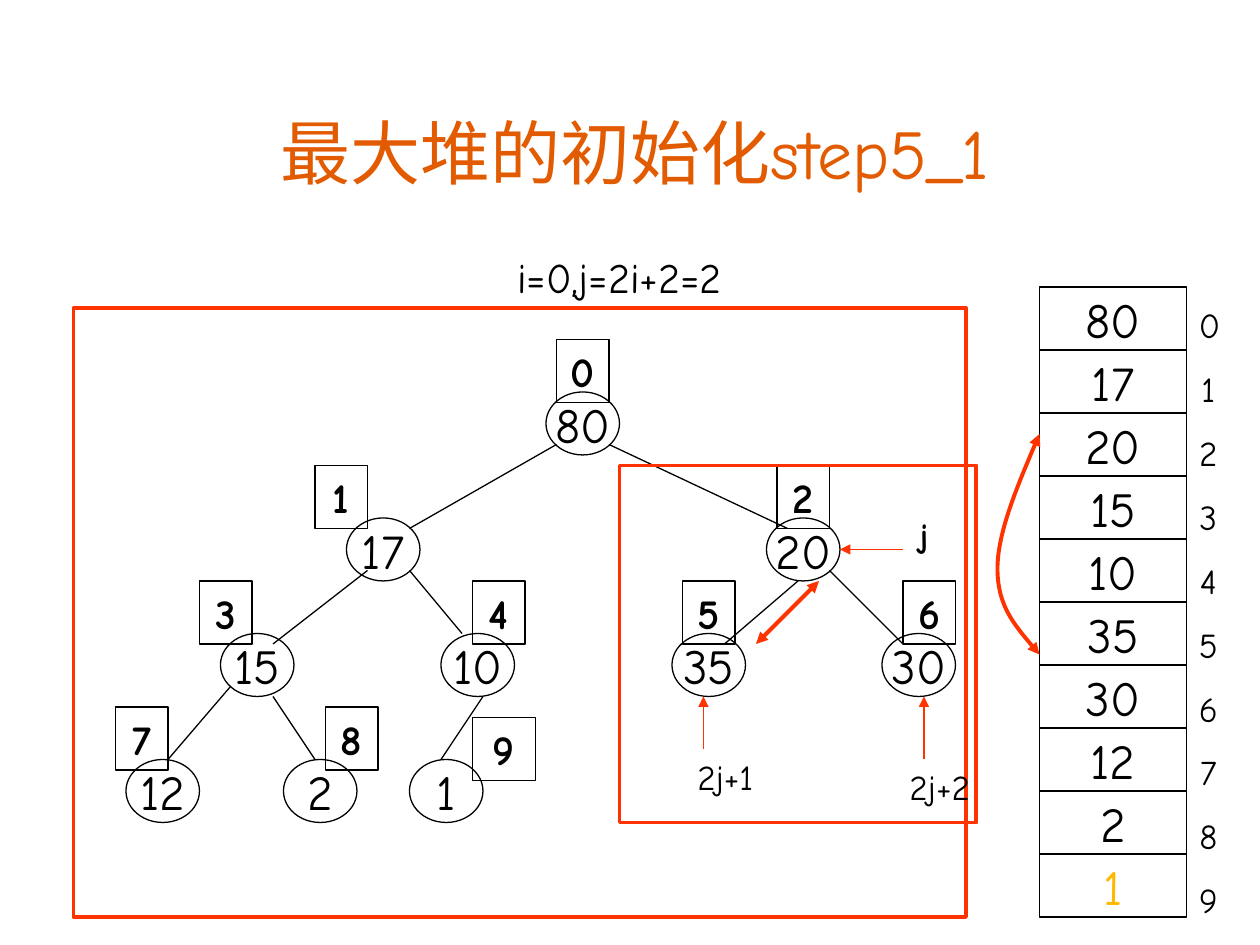
from dataclasses import dataclass

from lxml.etree import SubElement
from pptx import Presentation
from pptx.dml.color import RGBColor
from pptx.enum.shapes import MSO_CONNECTOR, MSO_SHAPE as SHAPE
from pptx.enum.text import MSO_ANCHOR as ANCHOR, MSO_AUTO_SIZE, PP_ALIGN
from pptx.oxml.ns import qn
from pptx.util import Pt


@dataclass(frozen=True)
class Theme:
    font: str = "Comic Neue"
    ink: str = "000000"
    title: str = "E25B00"
    accent: str = "FF3300"
    done: str = "FFB800"
    title_size: int = 40
    node_size: int = 28
    badge_size: int = 24
    label_size: int = 20
    thin: float = 0.75
    thick: float = 2.25


class HeapSlide:
    def __init__(self, prs, theme):
        self.theme = theme
        self.s = prs.slides.add_slide(prs.slide_layouts[5])

    def set_text(self, sp, lines, size, color=None, bold=False, gap=0,
                 anchor=ANCHOR.TOP, wrap=True):
        tf = sp.text_frame
        tf.word_wrap, tf.vertical_anchor = wrap, anchor
        tf.auto_size = MSO_AUTO_SIZE.NONE
        for i, line in enumerate(lines):
            p = tf.add_paragraph() if i else tf.paragraphs[0]
            p.alignment = PP_ALIGN.CENTER
            p.space_before = Pt(gap if i else 0)
            r = p.add_run()
            r.text = line
            r.font.name, r.font.size, r.font.bold = self.theme.font, Pt(size), bold
            r.font.color.rgb = RGBColor.from_string(color or self.theme.ink)

    def stroke(self, sp, color=None, width=None, heads=()):
        """Style a line; heads holds "headEnd" and/or "tailEnd", in that order."""
        sp.line.color.rgb = RGBColor.from_string(color or self.theme.ink)
        sp.line.width = Pt(width or self.theme.thin)
        ln = sp._element.spPr.find(qn("a:ln"))
        for head in heads:
            SubElement(ln, qn(f"a:{head}"), type="triangle")

    def title(self, text, box):
        sp = self.s.shapes.title
        sp.left, sp.top, sp.width, sp.height = map(Pt, box)
        self.set_text(sp, [text], self.theme.title_size, self.theme.title,
                      anchor=ANCHOR.BOTTOM)

    def label(self, lines, box, size=None, **style):
        sp = self.s.shapes.add_textbox(*map(Pt, box))
        self.set_text(sp, lines, size or self.theme.label_size, **style)

    def outline(self, kind, box, color=None, width=None):
        sp = self.s.shapes.add_shape(kind, *map(Pt, box))
        sp.shadow.inherit = False
        sp.fill.background()
        self.stroke(sp, color, width)
        return sp

    def value(self, kind, text, box, color=None):
        self.set_text(self.outline(kind, box), [text], self.theme.node_size, color,
                      anchor=ANCHOR.MIDDLE, wrap=False)

    def badge(self, text, box):
        self.set_text(self.outline(SHAPE.RECTANGLE, box), [text],
                      self.theme.badge_size, bold=True)

    def frame(self, box):
        self.outline(SHAPE.RECTANGLE, box, self.theme.accent, self.theme.thick)

    def line(self, ends, color=None, width=None, heads=()):
        sp = self.s.shapes.add_connector(MSO_CONNECTOR.STRAIGHT, *map(Pt, ends))
        self.stroke(sp, color, width, heads)
        SubElement(sp._element.spPr, qn("a:effectLst"))

    def curve(self, start, segments, heads):
        """Draw cubic segments, each given as two control points and an end."""
        builder = self.s.shapes.build_freeform(*map(Pt, start))
        builder.add_line_segments([tuple(map(Pt, seg[-1])) for seg in segments],
                                  close=False)
        sp = builder.convert_to_shape()
        sp.shadow.inherit = False
        sp.fill.background()
        self.stroke(sp, self.theme.accent, self.theme.thick, heads)
        for straight, seg in zip(list(sp._element.iter(qn("a:lnTo"))), segments):
            outline = straight.getparent()
            outline.remove(straight)
            bezier = SubElement(outline, qn("a:cubicBezTo"))
            for x, y in seg:
                SubElement(bezier, qn("a:pt"), x=str(Pt(x) - sp.left),
                           y=str(Pt(y) - sp.top))


HEAP = [80, 17, 20, 15, 10, 35, 30, 12, 2, 1]
NODE_W, ROW_H = 42, 36
LEVEL_TOPS = [224, 296, 362, 434]
NODE_LEFTS = [312, 198, 438, 126, 252, 384, 504, 72, 162, 234]
BADGE_W, BADGE_RISE = 30, 30
BADGE_LEFTS = [318, 180, 444, 114, 270, 390, 516, 66, 186, 270]
EDGES = [
    (318, 254, 234, 302), (210, 326, 156, 368), (132, 392, 96, 434),
    (234, 326, 264, 362), (156, 398, 180, 434), (276, 398, 252, 434),
    (348, 254, 450, 302), (456, 332, 414, 368), (474, 326, 516, 368),
]
ARRAY_LEFT, ARRAY_TOP, ARRAY_W = 594, 164, 84
POINTERS = [
    ("j", (510, 290, 36, 32), (516, 314, 480, 314), True),
    ("2j+1", (384, 428, 61, 32), (402, 428, 402, 398), False),
    ("2j+2", (504, 434, 66, 32), (528, 434, 528, 398), False),
]
BOTH_ENDS = ("headEnd", "tailEnd")


def main():
    prs = Presentation()
    prs.slide_width, prs.slide_height = Pt(720), Pt(540)
    theme = Theme()
    slide = HeapSlide(prs, theme)

    slide.title("最大堆的初始化step5_1", (54, 54, 618, 60))
    slide.label(["i=0,j=2i+2=2"], (36, 140, 636, 36), theme.badge_size)

    # In a heap, node i sits on level floor(log2(i + 1))
    node_tops = [LEVEL_TOPS[(i + 1).bit_length() - 1] for i in range(len(HEAP))]
    for number, left, top in zip(HEAP, NODE_LEFTS, node_tops):
        slide.value(SHAPE.FLOWCHART_CONNECTOR, str(number),
                    (left, top, NODE_W, ROW_H))
    for ends in EDGES:
        slide.line(ends)
    last = len(HEAP) - 1
    for i, (left, top) in enumerate(zip(BADGE_LEFTS, node_tops)):
        rise, width = (24, 36) if i == last else (BADGE_RISE, BADGE_W)
        slide.badge(str(i), (left, top - rise, width, ROW_H))
    slide.frame((42, 176, 510, 348))

    for i, number in enumerate(HEAP):
        slide.value(SHAPE.FLOWCHART_PROCESS, str(number),
                    (ARRAY_LEFT, ARRAY_TOP + i * ROW_H, ARRAY_W, ROW_H),
                    theme.done if i == last else None)
    slide.label([str(i) for i in range(len(HEAP))],
                (ARRAY_LEFT + ARRAY_W, 170, 25, 360), gap=12.5)

    for text, box, arrow, bold in POINTERS:
        slide.label([text], box, bold=bold)
        slide.line(arrow, theme.accent, heads=("tailEnd",))

    slide.curve((594, 248), [
        [(582, 276), (570, 305), (570, 325)],
        [(570, 346), (582, 360), (594, 374)],
    ], BOTH_ENDS)
    slide.line((432, 368, 468, 332), theme.accent, theme.thick, BOTH_ENDS)
    slide.frame((354, 266, 204, 204))

    prs.save("out.pptx")


if __name__ == "__main__":
    main()
